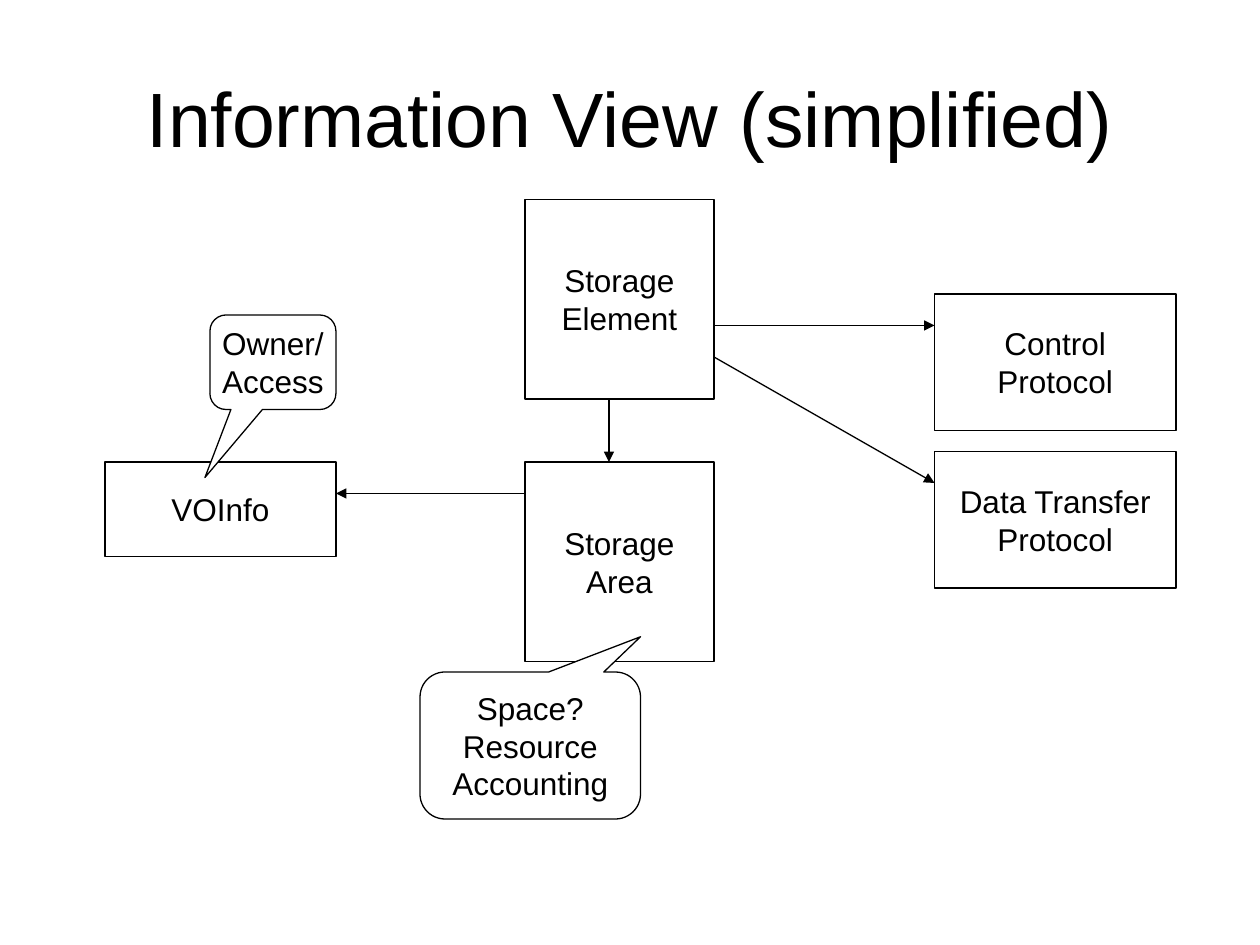
import dataclasses

import lxml.etree
import pptx
import pptx.dml.color
import pptx.enum.shapes
import pptx.enum.text
import pptx.oxml.ns
import pptx.util

PX = 9525
SHAPE = pptx.enum.shapes.MSO_SHAPE


@dataclasses.dataclass(frozen=True)
class Theme:
    """Colours, font and type sizes of the slide."""
    ink: str = "000000"
    paper: str = "FFFFFF"
    font: str = "Arial"
    title: int = 44
    label: int = 18
    line: float = 0.75


THEME = Theme()


def rgb(value):
    """Turn a hex string into a colour."""
    return pptx.dml.color.RGBColor.from_string(value)


def emu(*lengths):
    """Turn px lengths into EMU."""
    return [length * PX for length in lengths]


def write(tf, lines, size):
    """Fill a text frame with centred lines, one paragraph each."""
    tf.vertical_anchor = pptx.enum.text.MSO_ANCHOR.MIDDLE
    for i, line in enumerate(lines):
        p = tf.add_paragraph() if i else tf.paragraphs[0]
        p.text = line
        p.alignment = pptx.enum.text.PP_ALIGN.CENTER
        p.font.name = THEME.font
        p.font.size = pptx.util.Pt(size)
        p.font.color.rgb = rgb(THEME.ink)


def add_node(s, kind, box, lines, adjustments=()):
    """Add an outlined shape with a centred label."""
    sp = s.shapes.add_shape(kind, *emu(*box))
    sp.shadow.inherit = False
    sp.fill.solid()
    sp.fill.fore_color.rgb = rgb(THEME.paper)
    sp.line.color.rgb = rgb(THEME.ink)
    sp.line.width = pptx.util.Pt(THEME.line)
    for i, value in enumerate(adjustments):
        sp.adjustments[i] = value
    tf = sp.text_frame
    tf.word_wrap = kind != SHAPE.RECTANGLE
    tf.margin_left = tf.margin_top = tf.margin_right = tf.margin_bottom = 0
    write(tf, lines, THEME.label)


def add_arrow(s, x1, y1, x2, y2):
    """Add a straight line with an arrowhead at its end."""
    c = s.shapes.add_connector(
        pptx.enum.shapes.MSO_CONNECTOR.STRAIGHT, *emu(x1, y1, x2, y2))
    c.line.color.rgb = rgb(THEME.ink)
    c.line.width = pptx.util.Pt(THEME.line)
    qn = pptx.oxml.ns.qn
    lxml.etree.SubElement(c.line._get_or_add_ln(), qn("a:tailEnd"), type="triangle")
    lxml.etree.SubElement(c._element.spPr, qn("a:effectLst"))


def add_title(s, box, text):
    """Place the slide title in its box."""
    tf = s.shapes.add_textbox(*emu(*box)).text_frame
    tf.word_wrap = True
    write(tf, [text], THEME.title)


def add_diagram(s, left, top):
    """Place the storage diagram from its top left corner."""
    storage_x, storage_w, storage_h, area_y = 320, 144, 152, 200
    storage_right = storage_x + storage_w
    info_w, protocol_x, protocol_y, protocol_pitch = 176, 632, 72, 120
    nodes = [
        (storage_x, area_y, storage_w, storage_h, ["Storage", "Area"]),
        (storage_x, 0, storage_w, storage_h, ["Storage", "Element"]),
        (0, area_y, info_w, 72, ["VOInfo"]),
    ]
    for i, name in enumerate(["Control", "Data Transfer"]):
        y = protocol_y + i * protocol_pitch
        nodes.append((protocol_x, y, 184, 104, [name, "Protocol"]))
    for x, y, w, h, lines in nodes:
        add_node(s, SHAPE.RECTANGLE, (left + x, top + y, w, h), lines)

    inset = 24
    arrows = [
        (storage_x + 64, storage_h, storage_x + 64, area_y),
        (storage_x, area_y + inset, info_w, area_y + inset),
    ]
    for i in range(2):
        y = protocol_y + inset
        arrows.append((storage_right, y + i * inset, protocol_x, y + i * protocol_pitch))
    for x1, y1, x2, y2 in arrows:
        add_arrow(s, left + x1, top + y1, left + x2, top + y2)

    callouts = [
        (240, 360, 168, 112, ["Space?", "Resource", "Accounting"], (0.5, -0.74, 0.17)),
        (80, 88, 96, 72, ["Owner/", "Access"], (-0.54, 1.22, 0.17)),
    ]
    for x, y, w, h, lines, adjustments in callouts:
        add_node(s, SHAPE.ROUNDED_RECTANGULAR_CALLOUT,
                 (left + x, top + y, w, h), lines, adjustments)


def main():
    """Build and save the slide."""
    prs = pptx.Presentation()
    prs.slide_width, prs.slide_height = emu(960, 720)
    s = prs.slides.add_slide(prs.slide_layouts[6])
    add_title(s, (48, 29, 864, 120), "Information View (simplified)")
    add_diagram(s, 80, 152)
    prs.save("out.pptx")


if __name__ == "__main__":
    main()
